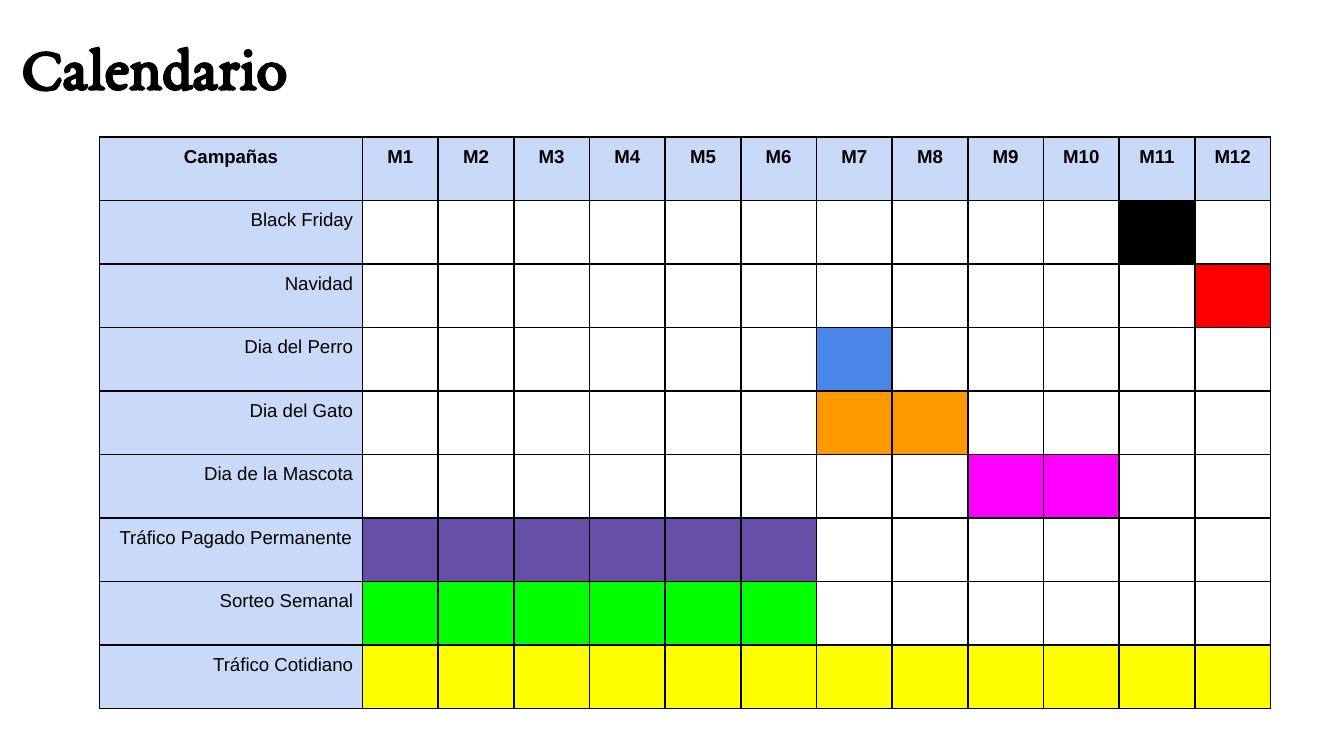
from dataclasses import dataclass

import pptx
import pptx.dml.color
import pptx.enum.text
import pptx.oxml
import pptx.oxml.ns
import pptx.util
from pptx.dml.color import RGBColor
from pptx.enum.text import MSO_ANCHOR, MSO_AUTO_SIZE, PP_ALIGN
from pptx.util import Cm

BLACK = RGBColor(0x00, 0x00, 0x00)
RED = RGBColor(0xFF, 0x00, 0x00)
BLUE = RGBColor(0x4A, 0x86, 0xE8)
ORANGE = RGBColor(0xFF, 0x99, 0x00)
MAGENTA = RGBColor(0xFF, 0x00, 0xFF)
PURPLE = RGBColor(0x67, 0x4E, 0xA7)
GREEN = RGBColor(0x00, 0xFF, 0x00)
YELLOW = RGBColor(0xFF, 0xFF, 0x00)
PALE_BLUE = RGBColor(0xC9, 0xDA, 0xF8)

MONTH_COUNT = 12
NAME_WIDTH = Cm(4.97)
MONTH_WIDTH = Cm(1.43)
ROW_HEIGHT = Cm(1.2)
CELL_MARGIN = Cm(0.18)

HEADING_FONT = {"name": "EB Garamond", "size": pptx.util.Pt(33), "bold": True}
HEADER_FONT = {"name": "Arial", "size": pptx.util.Pt(10), "bold": True}
NAME_FONT = {**HEADER_FONT, "bold": False}
CELL_FORMAT = {
    f"margin_{side}": CELL_MARGIN for side in ("left", "right", "top", "bottom")
}


@dataclass(frozen=True)
class Campaign:
    name: str
    first_month: int
    last_month: int
    color: RGBColor
    align: PP_ALIGN = PP_ALIGN.RIGHT
    indent: Cm = Cm(0)


CAMPAIGNS = [
    Campaign("Black Friday", 11, 11, BLACK),
    Campaign("Navidad", 12, 12, RED),
    Campaign("Dia del Perro", 7, 7, BLUE),
    Campaign("Dia del Gato", 7, 8, ORANGE),
    Campaign("Dia de la Mascota", 9, 10, MAGENTA),
    Campaign("Tráfico Pagado Permanente", 1, 6, PURPLE, PP_ALIGN.LEFT, Cm(0.2)),
    Campaign("Sorteo Semanal", 1, 6, GREEN),
    Campaign("Tráfico Cotidiano", 1, 12, YELLOW),
]


def apply_format(target: object, values: dict) -> None:
    for attribute, value in values.items():
        setattr(target, attribute, value)


def write_text(frame, text: str, font: dict, align: PP_ALIGN) -> None:
    paragraph = frame.paragraphs[0]
    paragraph.alignment = align
    run = paragraph.add_run()
    run.text = text
    apply_format(run.font, font)
    run.font.color.rgb = BLACK


def add_borders(cell) -> None:
    properties = cell._tc.get_or_add_tcPr()
    for side in ("lnL", "lnR", "lnT", "lnB"):
        properties.append(pptx.oxml.parse_xml(
            f'<a:{side} {pptx.oxml.ns.nsdecls("a")} w="12700">'
            f'<a:solidFill><a:srgbClr val="{BLACK}"/></a:solidFill></a:{side}>'
        ))


def fill_cell(cell, color: RGBColor) -> None:
    cell.fill.solid()
    cell.fill.fore_color.rgb = color


def add_heading(slide, text: str) -> None:
    heading = slide.shapes.title
    apply_format(heading, {
        "left": Cm(0.15), "top": Cm(0.28), "width": Cm(24.23), "height": Cm(1.85),
    })
    apply_format(heading.text_frame, {
        "margin_left": Cm(0.25), "margin_right": Cm(0.25),
        "margin_top": Cm(0.25), "margin_bottom": Cm(0.25),
        "vertical_anchor": MSO_ANCHOR.TOP,
        "auto_size": MSO_AUTO_SIZE.NONE, "word_wrap": True,
    })
    write_text(heading.text_frame, text, HEADING_FONT, PP_ALIGN.LEFT)


def add_calendar(slide, campaigns: list[Campaign]) -> None:
    row_count = len(campaigns) + 1
    calendar = slide.shapes.add_table(
        row_count, MONTH_COUNT + 1, Cm(1.88), Cm(2.59),
        NAME_WIDTH + MONTH_COUNT * MONTH_WIDTH, row_count * ROW_HEIGHT,
    ).table
    apply_format(calendar, {"first_row": False, "horz_banding": False})
    for index, column in enumerate(calendar.columns):
        column.width = MONTH_WIDTH if index else NAME_WIDTH
    for row in calendar.rows:
        row.height = ROW_HEIGHT
    for cell in calendar.iter_cells():
        apply_format(cell, CELL_FORMAT)
        add_borders(cell)
        cell.fill.background()

    headers = ["Campañas"] + [f"M{month}" for month in range(1, MONTH_COUNT + 1)]
    for index, header in enumerate(headers):
        cell = calendar.cell(0, index)
        fill_cell(cell, PALE_BLUE)
        write_text(cell.text_frame, header, HEADER_FONT, PP_ALIGN.CENTER)

    for row_index, campaign in enumerate(campaigns, start=1):
        name_cell = calendar.cell(row_index, 0)
        name_cell.margin_left = CELL_MARGIN + campaign.indent
        fill_cell(name_cell, PALE_BLUE)
        write_text(name_cell.text_frame, campaign.name, NAME_FONT, campaign.align)
        for month in range(campaign.first_month, campaign.last_month + 1):
            fill_cell(calendar.cell(row_index, month), campaign.color)


def main() -> None:
    presentation = pptx.Presentation()
    apply_format(presentation, {"slide_width": Cm(25.4), "slide_height": Cm(14.29)})
    slide = presentation.slides.add_slide(presentation.slide_layouts[5])
    add_heading(slide, "Calendario")
    add_calendar(slide, CAMPAIGNS)
    presentation.save("out.pptx")


if __name__ == "__main__":
    main()
